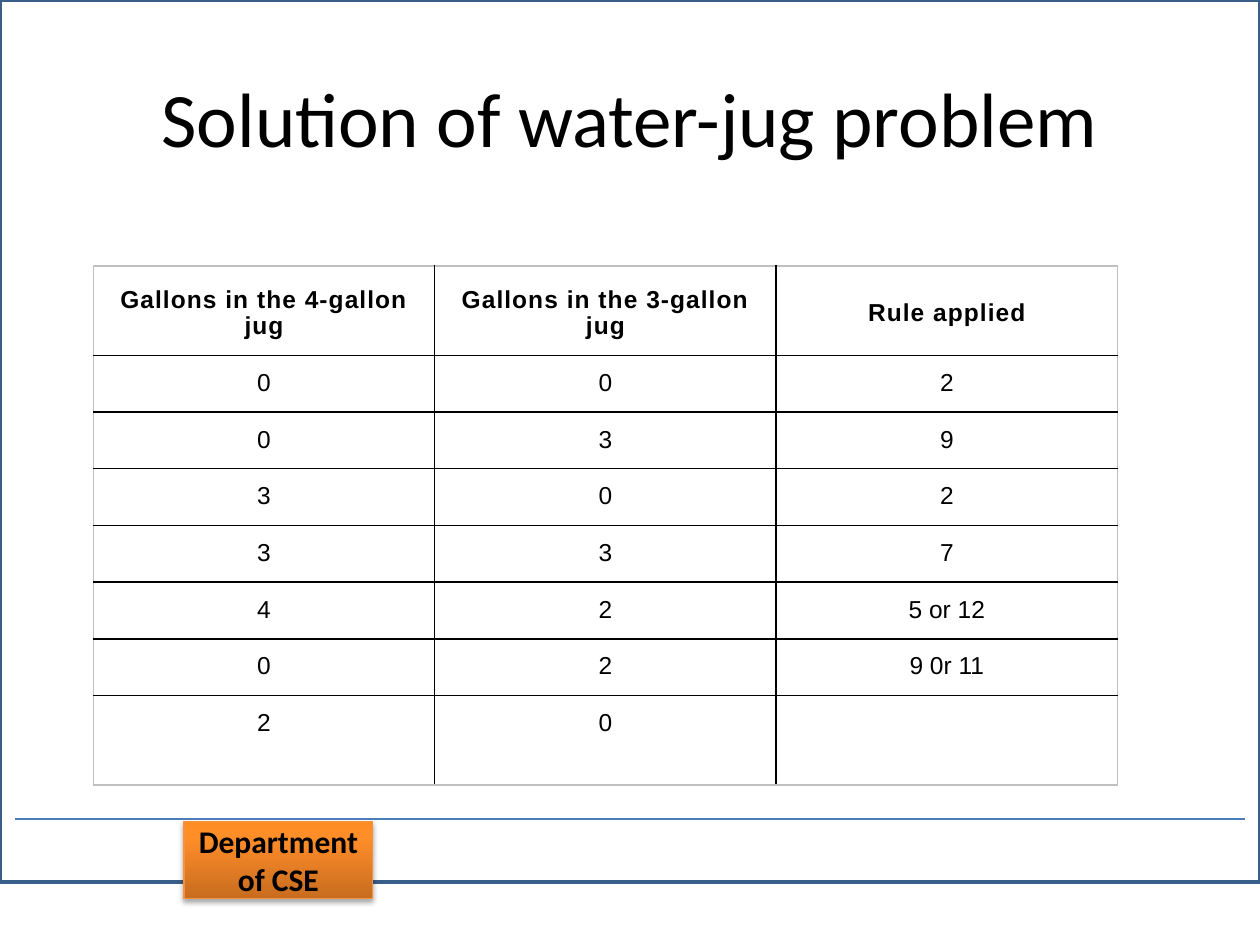
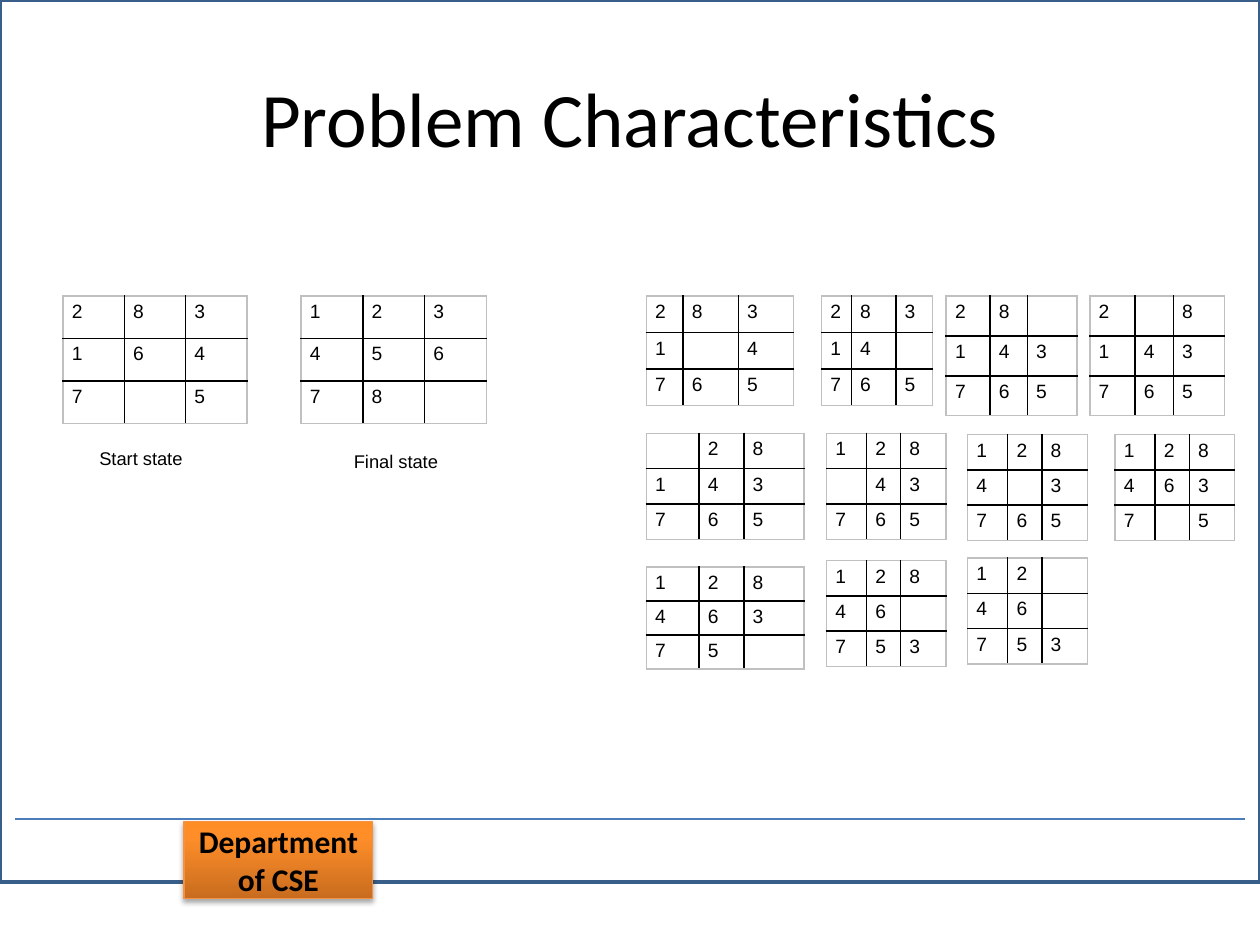
"""Two slides on state-space search: the water-jug solution and the 8-puzzle."""
from lxml import etree
from pptx import Presentation
from pptx.dml.color import RGBColor
from pptx.enum.shapes import MSO_CONNECTOR, MSO_SHAPE
from pptx.enum.text import MSO_ANCHOR, PP_ALIGN
from pptx.oxml import parse_xml
from pptx.oxml.ns import nsdecls, qn
from pptx.util import Inches, Pt

CENTER, LEFT = PP_ALIGN.CENTER, PP_ALIGN.LEFT
MIDDLE, TOP = MSO_ANCHOR.MIDDLE, MSO_ANCHOR.TOP
RECT, STRAIGHT = MSO_SHAPE.RECTANGLE, MSO_CONNECTOR.STRAIGHT

COLORS = {"ink": "000000", "frame": "395E89", "rule": "4A7DBA", "badge_line": "F5913F",
          "badge_dark": "C86C1F", "badge_mid": "FF8E29", "badge_top": "FF8D25",
          "edge": "C0C0C0"}
W, H = 10, 7.5
BADGE = "Department of CSE"

FRAME_START = (0.12, 1.35)
FRAME = [
    [(0.12, 0.69), (0.09, 0.13), (0.65, 0.13)],
    [(9.41, 0.16)],
    [(9.97, 0.16), (9.88, 0.69), (9.88, 1.35)],
    [(9.88, 6.17)],
    [(9.88, 6.83), (9.93, 7.37), (9.36, 7.37)],
    [(0.59, 7.36)],
    [(0.03, 7.36), (0.12, 6.83), (0.12, 6.17)],
]

JUG_TITLE = "Solution of water-jug problem"
JUG_ROWS = [
    ("Gallons in the 4-gallon jug", "Gallons in the 3-gallon jug", "Rule applied"),
    ("0", "0", "2"),
    ("0", "3", "9"),
    ("3", "0", "2"),
    ("3", "3", "7"),
    ("4", "2", "5 or 12"),
    ("0", "2", "9 0r 11"),
    ("2", "0", ""),
]

PUZZLE_TITLE = "Problem Characteristics"
EVEN = (1 / 3, 1 / 3, 1 / 3)
WIDE = (0.25, 0.375, 0.375)
BULGE = (0.27, 0.4, 0.33)
NARROW = (0.335, 0.285, 0.38)
BOARDS = [
    (0.5, 2.35, 1.46, 1.01, EVEN, "283 164 7_5"),
    (2.39, 2.35, 1.47, 1.01, EVEN, "123 456 78_"),
    (5.13, 2.35, 1.17, 0.87, WIDE, "283 1_4 765"),
    (6.52, 2.35, 0.88, 0.87, BULGE, "283 14_ 765"),
    (7.51, 2.35, 1.04, 0.95, NARROW, "28_ 143 765"),
    (8.65, 2.35, 1.07, 0.95, NARROW, "2_8 143 765"),
    (5.13, 3.44, 1.25, 0.84, NARROW, "_28 143 765"),
    (6.56, 3.44, 0.95, 0.84, NARROW, "128 _43 765"),
    (7.68, 3.45, 0.95, 0.84, NARROW, "128 4_3 765"),
    (8.85, 3.45, 0.95, 0.84, NARROW, "128 463 7_5"),
    (5.13, 4.5, 1.25, 0.81, NARROW, "128 463 75_"),
    (6.56, 4.45, 0.95, 0.84, NARROW, "128 46_ 753"),
    (7.68, 4.43, 0.95, 0.84, NARROW, "12_ 46_ 753"),
]
CAPTIONS = [(0.69, 3.5, "Start state"), (2.71, 3.52, "Final state")]


def rgb(name):
    return RGBColor.from_string(COLORS[name])


def write(tf, text, size=11, font="Arial", bold=False, align=LEFT, spacing=0, leading=None):
    p = tf.paragraphs[0]
    p.alignment = align
    if leading:
        p.line_spacing = leading
    if not text:
        p._p.get_or_add_endParaRPr().set("sz", str(size * 100))
        return
    r = p.add_run()
    r.text = text
    r.font.size, r.font.name, r.font.bold = Pt(size), font, bold
    r.font.color.rgb = rgb("ink")
    if spacing:
        r._r.get_or_add_rPr().set("spc", str(int(spacing * 100)))


def add_text(s, box, text, anchor=TOP, **fmt):
    tf = s.shapes.add_textbox(*map(Inches, box)).text_frame
    tf.word_wrap, tf.vertical_anchor = True, anchor
    write(tf, text, **fmt)


def bezier(a, b, c, d, steps=24):
    for i in range(1, steps + 1):
        t = i / steps
        u = 1 - t
        yield tuple(u**3 * k + 3 * u * u * t * m + 3 * u * t * t * n + t**3 * q
                    for k, m, n, q in zip(a, b, c, d))


def add_frame(s):
    points, here = [], FRAME_START
    for part in FRAME:
        points += bezier(here, *part) if len(part) == 3 else part
        here = part[-1]
    builder = s.shapes.build_freeform(*FRAME_START, scale=Inches(1))
    builder.add_line_segments(points, close=True)
    sp = builder.convert_to_shape()
    sp.shadow.inherit = False
    sp.fill.background()
    sp.line.color.rgb, sp.line.width = rgb("frame"), Pt(2)


def add_badge(s):
    sp = s.shapes.add_shape(RECT, *map(Inches, (1.46, 6.52, 1.5, 0.61)))
    sp.shadow.inherit = False
    sp.line.color.rgb, sp.line.width = rgb("badge_line"), Pt(0.75)
    stops = "".join(f'<a:gs pos="{pos}000"><a:srgbClr val="{COLORS[name]}"/></a:gs>'
                    for pos, name in ((0, "badge_dark"), (80, "badge_mid"), (100, "badge_top")))
    sp._element.spPr.find(qn("a:prstGeom")).addnext(parse_xml(
        f'<a:gradFill {nsdecls("a")} rotWithShape="1"><a:gsLst>{stops}</a:gsLst>'
        '<a:lin ang="16200000" scaled="0"/></a:gradFill>'))
    sp._element.spPr.find(qn("a:effectLst")).append(parse_xml(
        f'<a:outerShdw {nsdecls("a")} blurRad="{Pt(3.1)}" dist="{Pt(1.8)}" dir="5400000" '
        f'rotWithShape="0"><a:srgbClr val="{COLORS["ink"]}"><a:alpha val="35000"/>'
        '</a:srgbClr></a:outerShdw>'))
    tf = sp.text_frame
    tf.word_wrap, tf.vertical_anchor = True, MIDDLE
    write(tf, BADGE, size=18, font="Calibri", bold=True, align=CENTER)


def add_rule(s):
    line = s.shapes.add_connector(STRAIGHT, *map(Inches, (0.12, 6.5, W - 0.12, 6.5)))
    line.line.color.rgb, line.line.width = rgb("rule"), Pt(0.75)
    etree.SubElement(line._element.spPr, qn("a:effectLst"))


def add_base(prs, title):
    s = prs.slides.add_slide(prs.slide_layouts[6])
    add_frame(s)
    add_badge(s)
    add_rule(s)
    add_text(s, (0.5, 0.3, 9, 1.25), title, anchor=MIDDLE, size=44, font="Calibri", align=CENTER)
    return s


def set_borders(cell, outer):
    tcPr = cell._tc.get_or_add_tcPr()
    for i, (side, is_outer) in enumerate(zip("LRTB", outer)):
        color = COLORS["edge" if is_outer else "ink"]
        tcPr.insert(i, parse_xml(
            f'<a:ln{side} {nsdecls("a")} w="{Pt(1)}"><a:solidFill>'
            f'<a:srgbClr val="{color}"/></a:solidFill></a:ln{side}>'))


def add_grid(s, x, y, widths, heights, rows, margins, head=None, **fmt):
    box = map(Inches, (x, y, sum(widths), sum(heights)))
    table = s.shapes.add_table(len(heights), len(widths), *box).table
    table.first_row = table.horz_banding = False
    for col, width in zip(table.columns, widths):
        col.width = Inches(width)
    last_r, last_c = len(heights) - 1, len(widths) - 1
    for r, (height, row) in enumerate(zip(heights, rows)):
        table.rows[r].height = Inches(height)
        for c, text in enumerate(row):
            cell = table.cell(r, c)
            cell.margin_left = cell.margin_right = Inches(margins[0])
            cell.margin_top, cell.margin_bottom = map(Inches, margins[1:])
            is_head = head and r == 0
            cell.vertical_anchor = MIDDLE if is_head else TOP
            cell.fill.background()
            set_borders(cell, (c == 0, c == last_c, r == 0, r == last_r))
            write(cell.text_frame, text, **{**fmt, **(head if is_head else {})})


def add_board(s, x, y, width, height, shares, tiles):
    rows = [[t.replace("_", "") for t in row] for row in tiles.split()]
    add_grid(s, x, y, [width * k for k in shares], [height / 3] * 3, rows, (0.07, 0.04, 0.04))


def main():
    prs = Presentation()
    prs.slide_width, prs.slide_height = Inches(W), Inches(H)

    s = add_base(prs, JUG_TITLE)
    add_grid(s, 0.74, 2.11, [2.71] * 3, [0.71] + [0.45] * 6 + [0.71], JUG_ROWS,
             (0.08, 0.11, 0.06), head={"bold": True, "spacing": 0.6, "leading": 0.96},
             size=14, align=CENTER)

    s = add_base(prs, PUZZLE_TITLE)
    for board in BOARDS:
        add_board(s, *board)
    for x, y, text in CAPTIONS:
        add_text(s, (x, y, 1.09, 0.28), text, size=10.5)

    prs.save("out.pptx")


if __name__ == "__main__":
    main()
